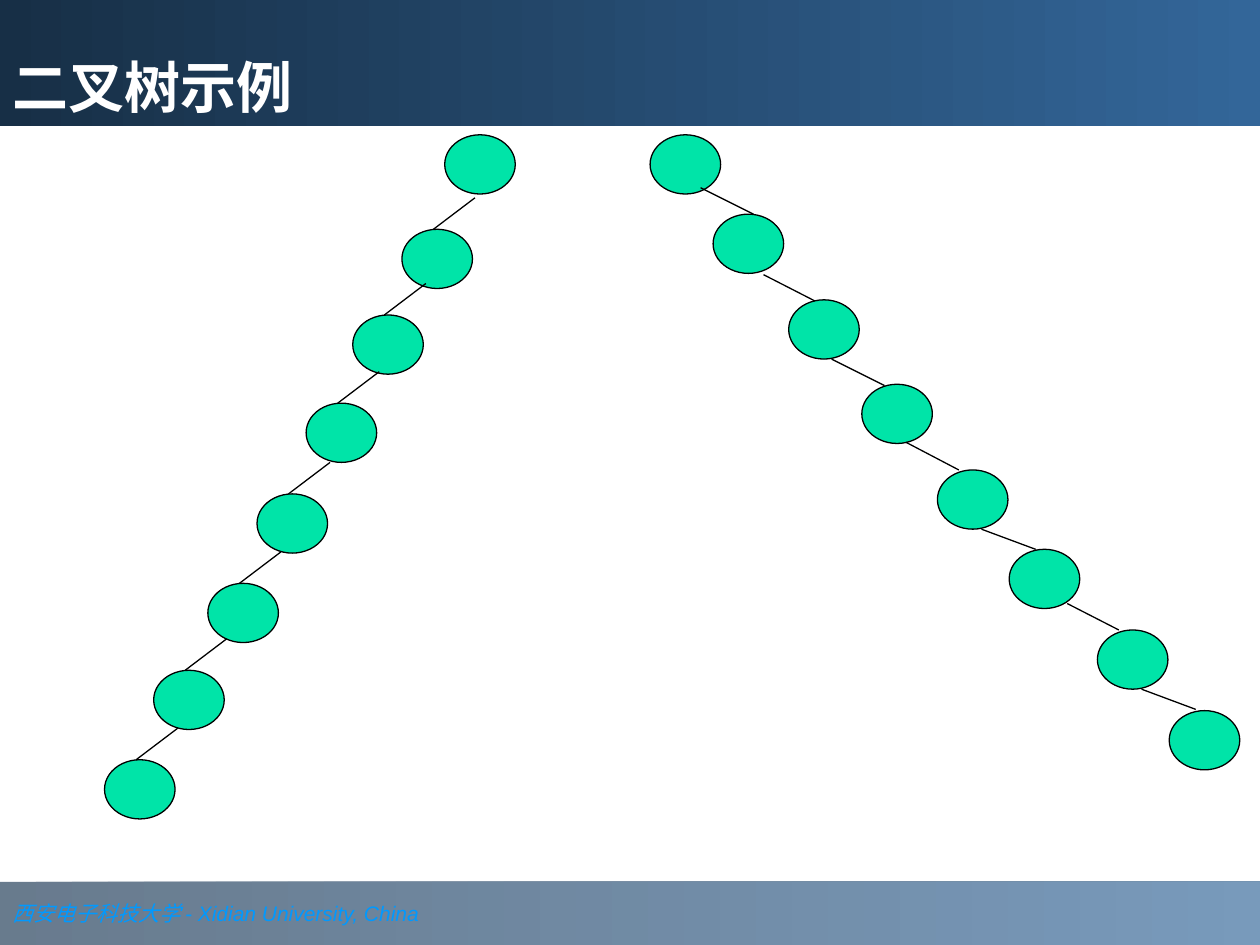
from lxml import etree
from pptx import Presentation
from pptx.dml.color import RGBColor
from pptx.enum.shapes import MSO_CONNECTOR, MSO_SHAPE
from pptx.enum.text import MSO_ANCHOR, PP_ALIGN
from pptx.oxml.ns import qn
from pptx.util import Inches, Pt

RECT, OVAL = MSO_SHAPE.RECTANGLE, MSO_SHAPE.OVAL
STRAIGHT = MSO_CONNECTOR.STRAIGHT
MIDDLE, BOTTOM = MSO_ANCHOR.MIDDLE, MSO_ANCHOR.BOTTOM
LEFT = PP_ALIGN.LEFT

COLORS = {
    "title_dark": "172F46",
    "footer_dark": "1B3753",
    "light": "336699",
    "node": "00E4A8",
    "line": "000000",
    "title": "FFFFFF",
    "footer": "0099FF",
}
NODE_W, NODE_H = 0.56, 0.47

# Node corners and edge ends, relative to the corner of each tree's box
LEFT_NODES = [(2.7, 0), (2.36, 0.75), (1.97, 1.43), (1.6, 2.13),
              (1.21, 2.85), (0.82, 3.56), (0.39, 4.25), (0, 4.96)]
# Each left edge runs from above its child down to the child's top
LEFT_EDGES = [(x + 0.58, y - 0.25, x + 0.25, y) for x, y in LEFT_NODES[1:]]
RIGHT_NODES = [(0, 0), (0.5, 0.63), (1.1, 1.31), (1.68, 1.98),
               (2.28, 2.66), (2.85, 3.29), (3.55, 3.93), (4.12, 4.57)]
RIGHT_EDGES = [(0.4, 0.42, 0.82, 0.63), (0.9, 1.11, 1.31, 1.32),
               (1.44, 1.78, 1.86, 1.99), (2.03, 2.44, 2.45, 2.66),
               (2.63, 3.13, 3.06, 3.29), (3.31, 3.72, 3.72, 3.93),
               (3.9, 4.4, 4.33, 4.56)]


def rgb(name):
    return RGBColor.from_string(COLORS[name])


def add_text(p, text, font, size, color, bold=False, italic=False):
    r = p.add_run()
    r.text = text
    r.font.name, r.font.size = font, Pt(size)
    r.font.bold, r.font.italic = bold, italic
    r.font.color.rgb = rgb(color)


def fill_gradient(sp, start, end, alpha=None):
    """Fill from left to right; alpha is opacity in percent."""
    sp.fill.gradient()
    sp.fill.gradient_angle = 0
    for stop, color, position in zip(sp.fill.gradient_stops, (start, end), (0, 1)):
        stop.color.rgb = rgb(color)
        stop.position = position
    if alpha is not None:
        for clr in sp._element.spPr.iter(qn("a:srgbClr")):
            etree.SubElement(clr, qn("a:alpha")).set("val", str(alpha * 1000))


def place(sp, x, y, w, h):
    sp.left, sp.top = Inches(x), Inches(y)
    sp.width, sp.height = Inches(w), Inches(h)


def add_title(s, x, y, w, h):
    sp = s.shapes.title
    place(sp, x, y, w, h)
    fill_gradient(sp, "title_dark", "light")
    tf = sp.text_frame
    tf.word_wrap = True
    tf.vertical_anchor = BOTTOM
    p = tf.paragraphs[0]
    p.alignment = LEFT
    add_text(p, "二叉树示例", "Roboto", 32, "title", bold=True)


def add_footer(s, x, y, w, h):
    sp = s.shapes.add_shape(RECT, Inches(x), Inches(y), Inches(w), Inches(h))
    sp.shadow.inherit = False
    sp.line.fill.background()
    fill_gradient(sp, "footer_dark", "light", alpha=66)
    tf = sp.text_frame
    tf.word_wrap = True
    tf.vertical_anchor = MIDDLE
    p = tf.paragraphs[0]
    p.alignment = LEFT
    add_text(p, "西安电子科技大学 ", "Times New Roman", 12, "footer", italic=True)
    add_text(p, "- Xidian University, China", "Arial", 12, "footer", italic=True)


def set_line(sp):
    sp.line.color.rgb = rgb("line")
    sp.line.width = Pt(0.75)


def add_tree(s, x, y, nodes, edges):
    for dx, dy in nodes:
        sp = s.shapes.add_shape(OVAL, Inches(x + dx), Inches(y + dy),
                                Inches(NODE_W), Inches(NODE_H))
        sp.shadow.inherit = False
        sp.fill.solid()
        sp.fill.fore_color.rgb = rgb("node")
        set_line(sp)
    for x1, y1, x2, y2 in edges:
        line = s.shapes.add_connector(STRAIGHT, Inches(x + x1), Inches(y + y1),
                                      Inches(x + x2), Inches(y + y2))
        set_line(line)
        etree.SubElement(line._element.spPr, qn("a:effectLst"))


def main():
    prs = Presentation()
    prs.slide_width, prs.slide_height = Inches(10), Inches(7.5)
    s = prs.slides.add_slide(prs.slide_layouts[5])
    add_footer(s, 0, 7, 10, 0.5)
    add_title(s, 0, 0, 10, 1)
    add_tree(s, 0.83, 1.07, LEFT_NODES, LEFT_EDGES)
    add_tree(s, 5.16, 1.07, RIGHT_NODES, RIGHT_EDGES)
    prs.save("out.pptx")


if __name__ == "__main__":
    main()
